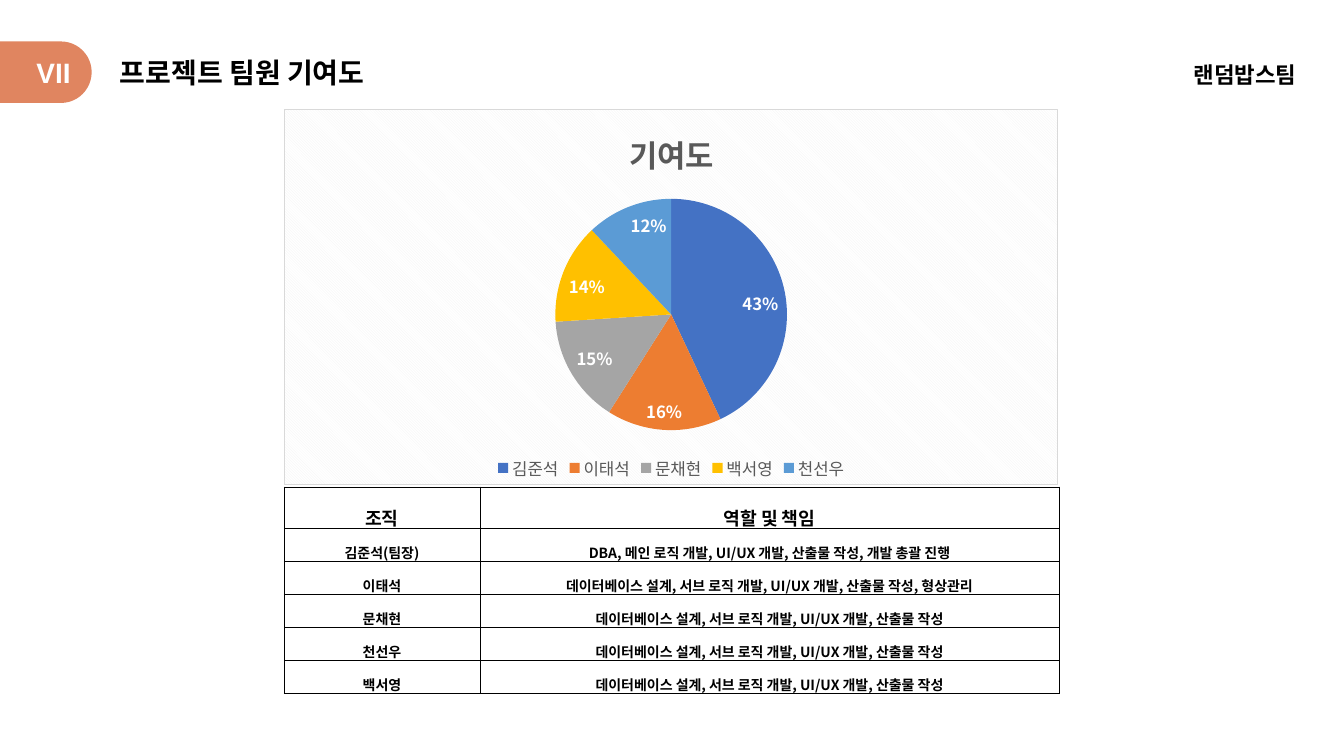
"""Build the team contribution slide with a pie chart and a role table."""
from dataclasses import dataclass
from typing import Any

import lxml.etree
import pptx
import pptx.chart.data
import pptx.dml.color
import pptx.enum.chart
import pptx.enum.shapes
import pptx.enum.text
import pptx.oxml
import pptx.oxml.ns
import pptx.util

Cm = pptx.util.Cm
Pt = pptx.util.Pt
RGBColor = pptx.dml.color.RGBColor
Align = pptx.enum.text.PP_ALIGN

WHITE = RGBColor(0xFF, 0xFF, 0xFF)
BLACK = RGBColor(0x00, 0x00, 0x00)
CORAL = RGBColor(0xE0, 0x85, 0x60)
DARK_GRAY = RGBColor(0x59, 0x59, 0x59)
BLUE = RGBColor(0x44, 0x72, 0xC4)
ORANGE = RGBColor(0xED, 0x7D, 0x31)
GRAY = RGBColor(0xA5, 0xA5, 0xA5)
YELLOW = RGBColor(0xFF, 0xC0, 0x00)
LIGHT_BLUE = RGBColor(0x5B, 0x9B, 0xD5)
PATTERN_GRAY = RGBColor(0xF2, 0xF2, 0xF2)
BORDER_GRAY = RGBColor(0xD9, 0xD9, 0xD9)

KOREAN_FONT = "Noto Sans CJK KR"
DRAWING = pptx.oxml.ns.nsdecls("a")
BLOCK_LEFT, BLOCK_WIDTH = Cm(7.16), Cm(19.51)
COLUMN_WIDTHS = (Cm(4.93), Cm(14.6))
HEADER_HEIGHT, ROW_HEIGHT = Cm(1.05), Cm(0.83)
CELL_FORMAT = {
    "margin_left": Cm(0.18),
    "margin_right": Cm(0.18),
    "margin_top": Cm(0.05),
    "margin_bottom": Cm(0.05),
    "vertical_anchor": pptx.enum.text.MSO_ANCHOR.MIDDLE,
}


@dataclass(frozen=True)
class Label:
    text: str
    left: float
    top: float
    width: float
    height: float
    size: int
    align: Align
    color: RGBColor = BLACK
    name: str = KOREAN_FONT


@dataclass(frozen=True)
class Share:
    member: str
    percent: int
    color: RGBColor


LABELS = (
    Label("VII", 0.64, 1.27, 1.42, 1.12, 20, Align.CENTER, WHITE, "Arial"),
    Label("프로젝트 팀원 기여도", 2.77, 1.27, 7.42, 1.12, 20, Align.LEFT),
    Label("랜덤밥스팀", 29.57, 1.42, 3.35, 0.94, 16, Align.RIGHT, name="Arial"),
)
SHARES = (
    Share("김준석", 43, BLUE),
    Share("이태석", 16, ORANGE),
    Share("문채현", 15, GRAY),
    Share("백서영", 14, YELLOW),
    Share("천선우", 12, LIGHT_BLUE),
)
COMMON_ROLE = "데이터베이스 설계, 서브 로직 개발, UI/UX 개발, 산출물 작성"
ROLES = (
    ("조직", "역할 및 책임"),
    ("김준석(팀장)", "DBA, 메인 로직 개발, UI/UX 개발, 산출물 작성, 개발 총괄 진행"),
    ("이태석", f"{COMMON_ROLE}, 형상관리"),
    *((member, COMMON_ROLE) for member in ("문채현", "천선우", "백서영")),
)


def apply_format(target: Any, values: dict[str, Any]) -> None:
    for attribute, value in values.items():
        setattr(target, attribute, value)


def format_font(font: Any, size: int, color: RGBColor, bold: bool, name: str = KOREAN_FONT) -> None:
    apply_format(font, {"size": Pt(size), "bold": bold, "name": name})
    font.color.rgb = color
    latin = font._element.find(pptx.oxml.ns.qn("a:latin")) if hasattr(font, "_element") else font._rPr.find(
        pptx.oxml.ns.qn("a:latin"))
    latin.addnext(pptx.oxml.parse_xml(f'<a:ea {DRAWING} typeface="{KOREAN_FONT}"/>'))


def add_badge(slide: Any) -> None:
    width, height = Cm(1.55), Cm(2.31)
    shape = slide.shapes.add_shape(
        pptx.enum.shapes.MSO_SHAPE.ROUND_2_SAME_RECTANGLE,
        (height - width) // 2, Cm(1.82) - height // 2, width, height)
    shape.adjustments[0] = 0.5
    shape.rotation = 90
    shape.shadow.inherit = False
    shape.fill.solid()
    shape.fill.fore_color.rgb = CORAL
    shape.line.fill.background()


def add_label(slide: Any, label: Label) -> None:
    shape = slide.shapes.add_textbox(*map(Cm, (label.left, label.top, label.width, label.height)))
    shape.text_frame.word_wrap = True
    paragraph = shape.text_frame.paragraphs[0]
    paragraph.alignment = label.align
    run = paragraph.add_run()
    run.text = label.text
    format_font(run.font, label.size, label.color, True, label.name)


def format_cell(cell: Any, text: str, size: int) -> None:
    apply_format(cell, CELL_FORMAT)
    cell.fill.background()
    paragraph = cell.text_frame.paragraphs[0]
    apply_format(paragraph, {"alignment": Align.CENTER, "line_spacing": 1.6})
    run = paragraph.add_run()
    run.text = text
    format_font(run.font, size, BLACK, True)
    properties = cell._tc.get_or_add_tcPr()
    for index, side in enumerate(("lnL", "lnR", "lnT", "lnB")):
        properties.insert(index, pptx.oxml.parse_xml(
            f'<a:{side} {DRAWING} w="{Pt(0.43)}"><a:solidFill><a:srgbClr val="{BLACK}"/>'
            f'</a:solidFill></a:{side}>'))


def add_role_table(slide: Any) -> None:
    height = HEADER_HEIGHT + ROW_HEIGHT * (len(ROLES) - 1)
    table = slide.shapes.add_table(
        len(ROLES), len(COLUMN_WIDTHS), BLOCK_LEFT, Cm(12.27), BLOCK_WIDTH, height).table
    apply_format(table, {"first_row": False, "horz_banding": False})
    for column, width in zip(table.columns, COLUMN_WIDTHS):
        column.width = width
    for index, texts in enumerate(ROLES):
        table.rows[index].height = ROW_HEIGHT if index else HEADER_HEIGHT
        for cell, text in zip(table.rows[index].cells, texts):
            format_cell(cell, text, 10 if index else 13)


def fill_chart_area(chart: Any) -> None:
    namespaces = pptx.oxml.ns.nsdecls("c", "a")
    area = pptx.oxml.parse_xml(
        f'<c:spPr {namespaces}><a:pattFill prst="dkDnDiag">'
        f'<a:fgClr><a:srgbClr val="{PATTERN_GRAY}"/></a:fgClr>'
        f'<a:bgClr><a:srgbClr val="{WHITE}"/></a:bgClr></a:pattFill>'
        f'<a:ln w="{Pt(0.75)}"><a:solidFill><a:srgbClr val="{BORDER_GRAY}"/>'
        '</a:solidFill></a:ln></c:spPr>')
    chart._chartSpace.find(pptx.oxml.ns.qn("c:chart")).addnext(area)


def add_contribution_chart(slide: Any) -> None:
    data = pptx.chart.data.CategoryChartData()
    data.categories = [share.member for share in SHARES]
    data.add_series("기여도", [share.percent for share in SHARES])
    chart = slide.shapes.add_chart(
        pptx.enum.chart.XL_CHART_TYPE.PIE, BLOCK_LEFT, Cm(2.75), BLOCK_WIDTH, Cm(9.47), data).chart
    format_font(chart.font, 10, BLACK, False)
    fill_chart_area(chart)
    title = chart.chart_title.text_frame.paragraphs[0].add_run()
    title.text = "기여도"
    format_font(title.font, 22, DARK_GRAY, True)
    chart.has_legend = True
    apply_format(chart.legend, {
        "position": pptx.enum.chart.XL_LEGEND_POSITION.BOTTOM, "include_in_layout": False})
    format_font(chart.legend.font, 12, DARK_GRAY, False)
    plot = chart.plots[0]
    plot.vary_by_categories = True
    for index, share in enumerate(SHARES):
        fill = plot.series[0].points[index].format.fill
        fill.solid()
        fill.fore_color.rgb = share.color
    plot.has_data_labels = True
    apply_format(plot.data_labels, {
        "show_percentage": True, "show_value": False,
        "number_format": "0%", "number_format_is_linked": False,
        "position": pptx.enum.chart.XL_LABEL_POSITION.INSIDE_END})
    format_font(plot.data_labels.font, 12, WHITE, True)


def main() -> None:
    presentation = pptx.Presentation()
    apply_format(presentation, {"slide_width": Cm(33.87), "slide_height": Cm(19.05)})
    slide = presentation.slides.add_slide(presentation.slide_layouts[6])
    add_badge(slide)
    for label in LABELS:
        add_label(slide, label)
    add_role_table(slide)
    add_contribution_chart(slide)
    presentation.save("out.pptx")


if __name__ == "__main__":
    main()
